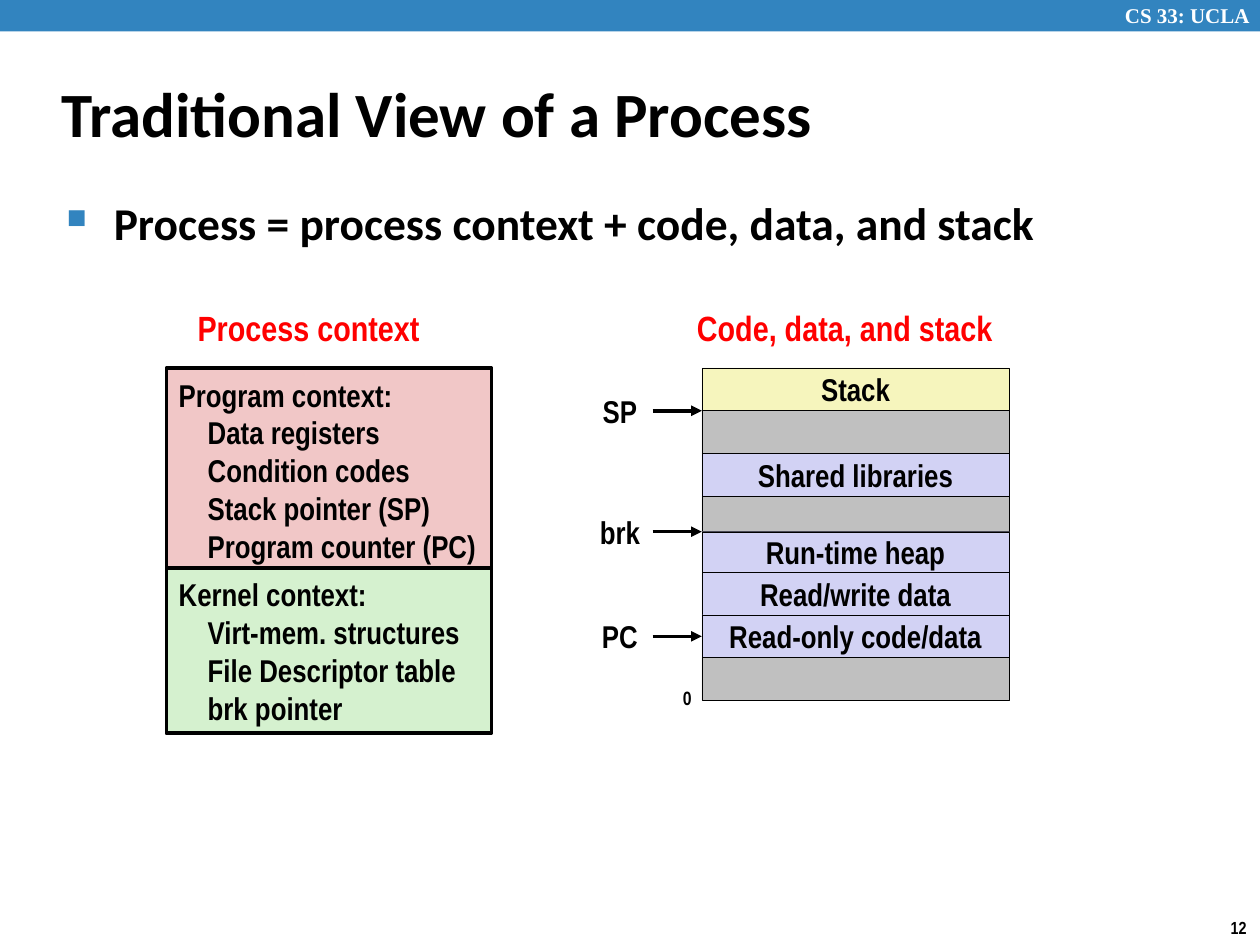
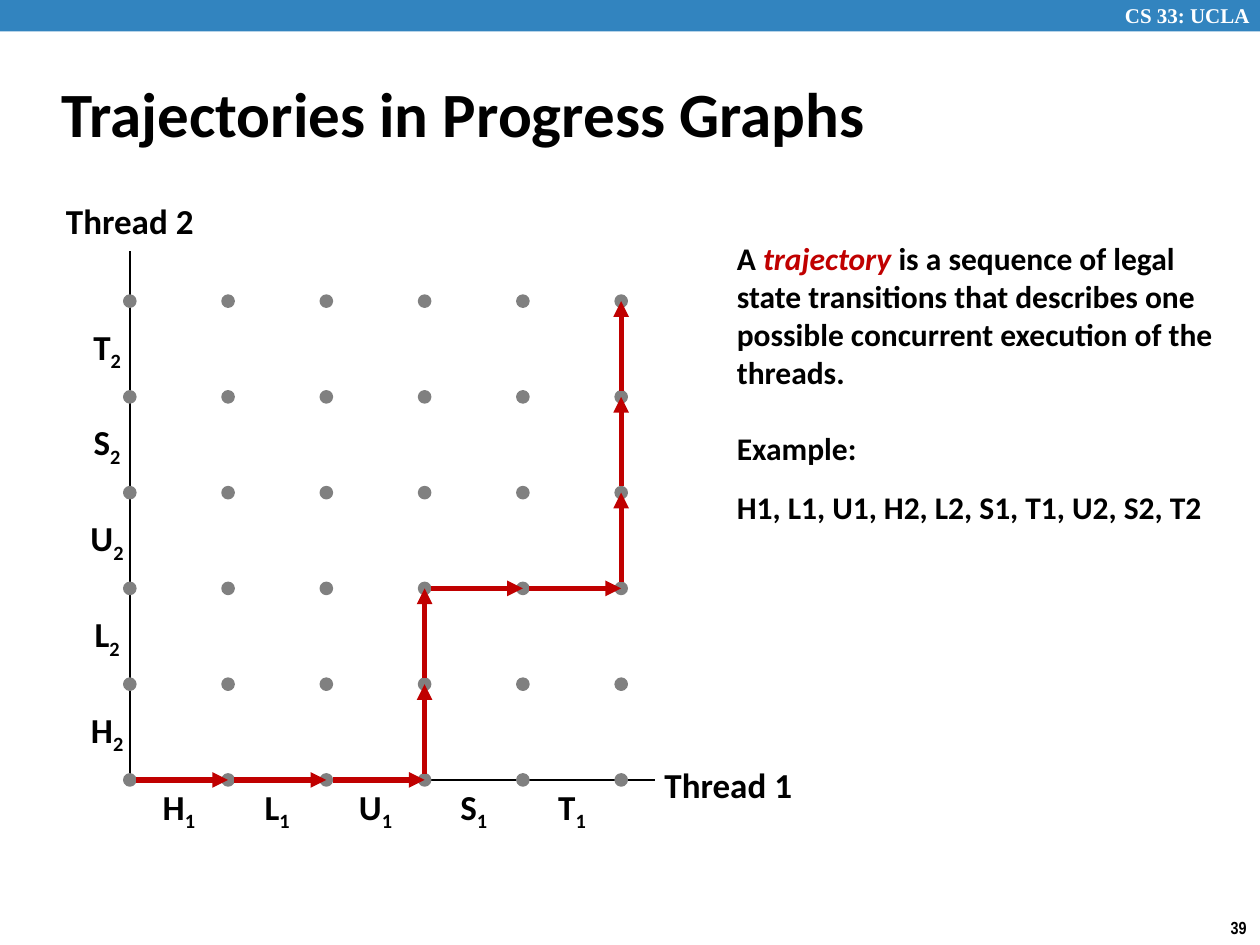
"""Build two lecture slides: a process in memory and a progress graph."""
from itertools import accumulate, product

from lxml.etree import SubElement as Sub
from pptx import Presentation
from pptx.dml.color import RGBColor
from pptx.enum.shapes import MSO_CONNECTOR as Link, MSO_SHAPE as Form
from pptx.enum.text import MSO_ANCHOR as Anchor, PP_ALIGN as Align
from pptx.oxml.ns import qn
from pptx.util import Inches, Pt

BLUE, RED, DARK, GREY = "3284BF", "FF0000", "C00000", "808080"
PINK, GREEN, LILAC, CREAM, SILVER = "F1C7C7", "D5F1CF", "D2D2F4", "F6F5BD", "C0C0C0"
BLACK, WHITE = "000000", "FFFFFF"
SANS, SLIM, SERIF = "Calibri", "Arial Narrow", "Times New Roman"
COLS, ROWS, UNIT = 100, 75, 0.1


def hue(code):
    return RGBColor.from_string(code)


def grid(*cells):
    return [Inches(cell * UNIT) for cell in cells]


def write(shape, paras, size=18, face=SLIM, color=BLACK, mid=True, center=True,
          inset=0, gaps=(), mark=None):
    frame = shape.text_frame
    frame.word_wrap = not center
    frame.vertical_anchor = Anchor.MIDDLE if mid else Anchor.TOP
    for i, runs in enumerate([paras] if isinstance(paras, str) else paras):
        para = frame.paragraphs[0] if i == 0 else frame.add_paragraph()
        para.alignment = Align.CENTER if center else Align.LEFT
        props = para._p.get_or_add_pPr()
        if i and inset:
            props.set("marL", str(grid(inset)[0]))
            props.set("indent", "0")
        if i < len(gaps) and gaps[i]:
            para.space_before = Pt(gaps[i])
        if mark:
            hang = grid(3.75)[0]
            props.set("marL", str(hang))
            props.set("indent", str(-hang))
            Sub(Sub(props, qn("a:buClr")), qn("a:srgbClr"), val=mark)
            Sub(props, qn("a:buSzPct"), val="60000")
            Sub(props, qn("a:buChar"), char="■")
        for words, look in [(runs, {})] if isinstance(runs, str) else runs:
            run = para.add_run()
            run.text = words
            font = run.font
            font.name, font.size, font.bold = face, Pt(size), True
            font.color.rgb = hue(look.get("color", color))
            if look.get("slant"):
                font.italic = True
            if look.get("low"):
                run._r.get_or_add_rPr().set("baseline", "-25000")


class Deck:
    """Hold the shared style and the current slide."""

    def __init__(self):
        self.prs = Presentation()
        self.prs.slide_width, self.prs.slide_height = grid(COLS, ROWS)

    def start(self, title, page):
        self.slide = self.prs.slides.add_slide(self.prs.slide_layouts[6])
        self.box(0, 0, COLS, 2.5, BLUE)
        self.text(88.3, -0.3, 12.4, 3, "CS 33: UCLA", size=12, face=SERIF,
                  color=WHITE, center=False)
        self.text(96.6, 72.3, 3.4, 2.7, page, size=10)
        self.text(3.9, 4.8, 83, 8.3, title, size=36, face=SANS, center=False)

    def box(self, x, y, w, h, fill, line=None, width=0.25, form=Form.RECTANGLE,
            words="", **look):
        shape = self.slide.shapes.add_shape(form, *grid(x, y, w, h))
        shape.shadow.inherit = False
        shape.fill.solid()
        shape.fill.fore_color.rgb = hue(fill)
        if line:
            shape.line.color.rgb = hue(line)
            shape.line.width = Pt(width)
        else:
            shape.line.fill.background()
        if words:
            write(shape, words, **look)
        return shape

    def text(self, x, y, w, h, words, **look):
        shape = self.slide.shapes.add_textbox(*grid(x, y, w, h))
        write(shape, words, **look)
        return shape

    def dot(self, x, y, size=0.8):
        self.box(x - size / 2, y - size / 2, size, size, GREY, GREY, 2, Form.OVAL)

    def line(self, x1, y1, x2, y2, color=BLACK, width=1, arrow=False):
        link = self.slide.shapes.add_connector(Link.STRAIGHT, *grid(x1, y1, x2, y2))
        link.line.color.rgb = hue(color)
        link.line.width = Pt(width)
        props = link._element.spPr
        if arrow:
            Sub(props.find(qn("a:ln")), qn("a:tailEnd"), type="triangle")
        Sub(props, qn("a:effectLst"))
        return link


def process(deck):
    deck.start("Traditional View of a Process", "12")
    deck.text(4.3, 15, 86.4, 54.4, "Process = process context + code, data, and stack",
              size=26, face=SANS, mid=False, center=False, mark=BLUE)
    for x, w, head in ((14.6, 19.8, "Process context"),
                       (54.2, 25.7, "Code, data, and stack")):
        deck.text(x, 23.8, w, 4.4, head, size=20, color=RED)

    top, left, wide = 29.2, 55.7, 24.4
    program = ("Program context:", "Data registers", "Condition codes",
               "Stack pointer (SP)", "Program counter (PC)")
    kernel = ("Kernel context:", "Virt-mem. structures",
              "File Descriptor table", "brk pointer")
    for y, h, fill, words in ((top, 16.2, PINK, program), (45.1, 13.1, GREEN, kernel)):
        deck.box(13.2, y, 25.8, h, fill, BLACK, 2, words=words, center=False, inset=2.3)

    parts = (("Stack", 3.4, CREAM), ("", 3.4, SILVER), ("Shared libraries", 3.4, LILAC),
             ("", 2.8, SILVER), ("Run-time heap", 3.2, LILAC),
             ("Read/write data", 3.4, LILAC), ("Read-only code/data", 3.4, LILAC),
             ("", 3.4, SILVER))
    edges = list(accumulate((h for _, h, _ in parts), initial=top))
    cells = [deck.box(left, y, wide, h, fill, BLACK, words=words)
             for y, (words, h, fill) in zip(edges, parts)]
    deck.text(53.2, 53.9, 2.7, 2.9, "0", size=11)

    for name, y, cell in (("SP", edges[1], None), ("brk", edges[4], None),
                          ("PC", (edges[6] + edges[7]) / 2, cells[6])):
        label = deck.text(46.6, y - 2, 5.2, 4, name)
        arrow = deck.line(51.8, y, left, y, width=2, arrow=True)
        arrow.begin_connect(label, 3)
        if cell:
            arrow.end_connect(cell, 1)


def graph(deck):
    deck.start("Trajectories in Progress Graphs", "39")
    deck.text(57.5, 18.4, 41.7, 23.9, (
        (("A ", {}), ("trajectory", {"color": DARK, "slant": True}),
         (" is a sequence of legal state transitions that describes one "
          "possible concurrent execution of the threads.", {})),
        "Example:", "H1, L1, U1, H2, L2, S1, T1, U2, S2, T2"),
        face=SANS, center=False, gaps=(0, 22, 12))

    x0, y0, dx, dy = 10.3, 61.9, 7.8, 7.6
    deck.line(x0, y0, 52, y0)
    deck.line(x0, y0, x0, 19.9)
    wide, high = 4.8, 4.4
    for i, step in enumerate("HLUST"):
        for num, x, y in (("1", x0 + (i + 0.5) * dx, 64.2),
                          ("2", 8.5, y0 - (i + 0.5) * dy)):
            deck.text(x - wide / 2, y - high / 2, wide, high,
                      [((step, {}), (num, {"low": True}))], size=20, face=SANS)
    for x, y, name in ((51.7, 60.1, "Thread 1"), (4.2, 15.3, "Thread 2")):
        deck.text(x, y, 12.2, high, name, size=20, face=SANS)
    for col, row in product(range(6), repeat=2):
        deck.dot(x0 + col * dx, y0 - row * dy)

    x, y, gap = x0, y0, 0.5
    for move in "RRRUURRUUU":
        right, up = (1, 0) if move == "R" else (0, 1)
        nx, ny = x + right * dx, y - up * dy
        deck.line(x + right * gap, y - up * gap, nx, ny, DARK, 3, True)
        x, y = nx, ny


def main():
    deck = Deck()
    process(deck)
    graph(deck)
    deck.prs.save("out.pptx")


if __name__ == "__main__":
    main()
